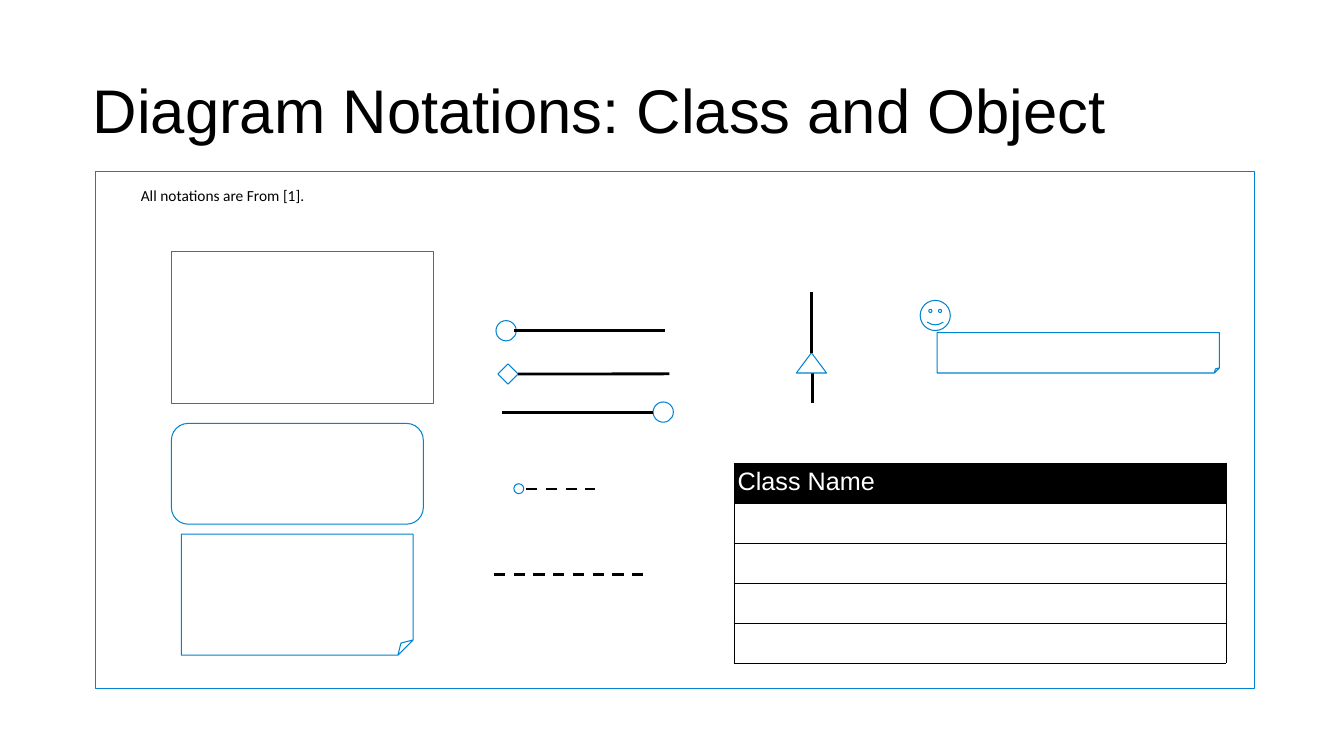
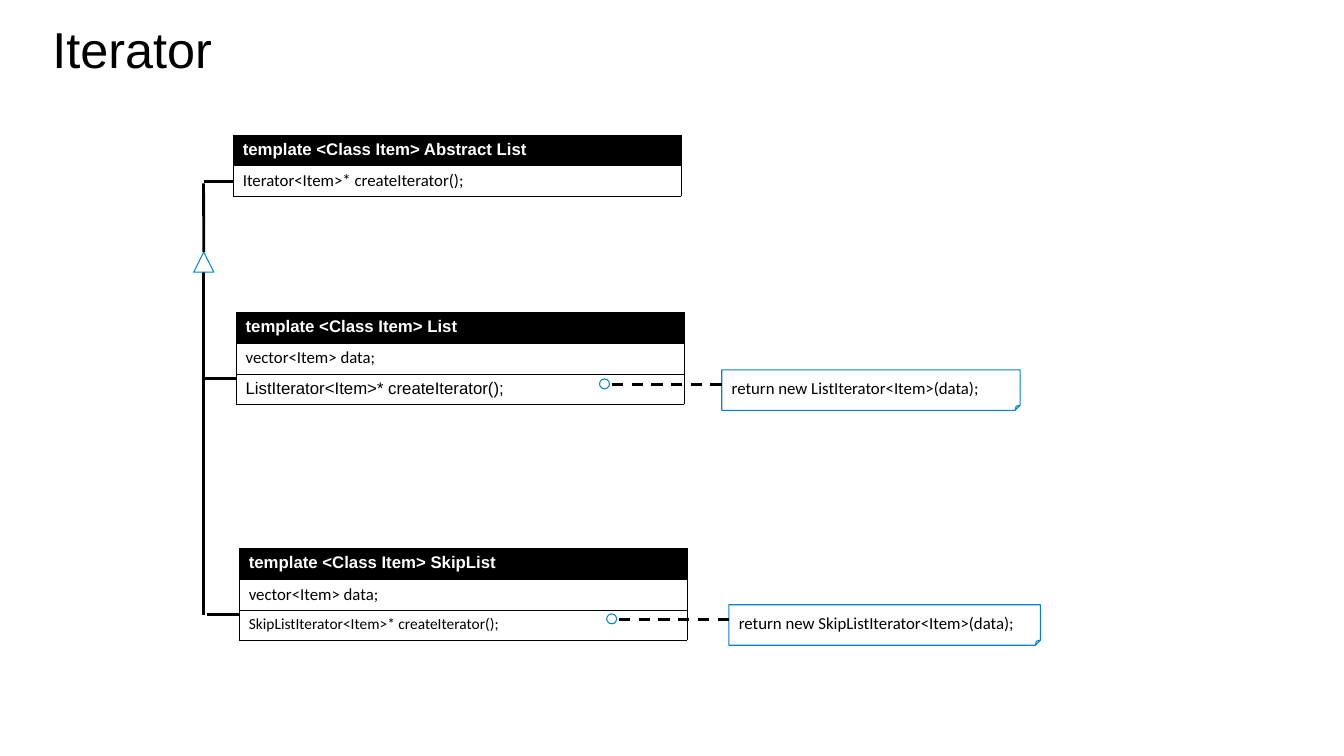
from pptx import Presentation
from pptx import util as u
from pptx.dml.color import RGBColor
from pptx.enum import dml, shapes, text
from pptx.oxml import parse_xml
from pptx.oxml.ns import nsdecls, qn

BLUE = RGBColor(0x00, 0x84, 0xD1)
BLACK = RGBColor(0, 0, 0)
WHITE = RGBColor(255, 255, 255)
KIND = shapes.MSO_SHAPE
RING, DOT, ROW = 0.51, 0.25, 0.77

PARTS = [
    (KIND.RECTANGLE, 2.41, 4.32, 29.21, 13.03),
    (KIND.SMILEY_FACE, 23.19, 7.57, 0.76, 0.76),
    (KIND.RECTANGLE, 4.32, 6.35, 6.6, 3.81),
    (KIND.FOLDED_CORNER, 4.57, 13.46, 5.84, 3.05),
    (KIND.ROUNDED_RECTANGLE, 4.32, 10.67, 6.35, 2.54),
    (KIND.OVAL, 12.5, 8.08, RING, RING),
    (KIND.OVAL, 16.46, 10.13, RING, RING),
    (KIND.FOLDED_CORNER, 23.62, 8.38, 7.11, 1.02),
    (KIND.OVAL, 12.95, 12.19, DOT, DOT),
]
LINES = [
    (12.95, 8.33, 16.76, 8.33, False),
    (12.65, 10.39, 16.46, 10.39, False),
    (20.47, 9.4, 20.47, 10.16, False),
    (12.45, 14.48, 16.26, 14.48, True),
    (13.26, 12.32, 14.99, 12.32, True),
]

HEAD = ("Arial", 12, WHITE, True)
BODY = ("Calibri", 12, BLACK, False)
CLASSES = [
    (5.87, 3.4, [("template <Class Item> Abstract List", HEAD),
                 ("Iterator<Item>* createIterator();", BODY)]),
    (5.94, 7.87, [("template <Class Item> List", HEAD),
                  ("vector<Item> data;", BODY),
                  ("ListIterator<Item>* createIterator();",
                   ("Arial", 12, BLACK, False))]),
    (6.02, 13.82, [("template <Class Item> SkipList", HEAD),
                   ("vector<Item> data;", BODY),
                   ("SkipListIterator<Item>* createIterator();",
                    ("Calibri", 11, BLACK, False))]),
]
TREE = [
    (5.13, 4.57, 5.87, 4.57),
    (5.13, 6.86, 5.13, 15.49),
    (5.13, 9.53, 5.94, 9.53),
    (5.21, 15.49, 6.02, 15.49),
]
NOTES = [
    (15.42, 9.7, 7.52, "return new ListIterator<Item>(data);"),
    (15.6, 15.62, 7.85, "return new SkipListIterator<Item>(data);"),
]


def style(para, face, size, color, bold=False):
    para.alignment = text.PP_ALIGN.LEFT
    font = para.font
    font.name, font.size, font.bold = face, u.Pt(size), bold
    font.color.rgb = color


def inset(box, side, end):
    box.margin_left = box.margin_right = u.Cm(side)
    box.margin_top = box.margin_bottom = u.Cm(end)


def start(deck, title, size, *box):
    slide = deck.slides.add_slide(deck.slide_layouts[5])
    head = slide.shapes.title
    head.left, head.top, head.width, head.height = map(u.Cm, box)
    frame = head.text_frame
    frame.text = title
    frame.word_wrap = True
    frame.vertical_anchor = text.MSO_ANCHOR.MIDDLE
    inset(frame, 0, 0)
    para = frame.paragraphs[0]
    para.line_spacing = 0.9
    style(para, "Arial", size, BLACK)
    return slide


def draw(slide, kind, *box):
    shape = slide.shapes.add_shape(kind, *map(u.Cm, box))
    shape.shadow.inherit = False
    shape.fill.background()
    shape.line.color.rgb = BLUE
    shape.line.width = 0
    if kind == KIND.FOLDED_CORNER:
        geom = shape._element.spPr.find(qn("a:prstGeom"))
        geom.find(qn("a:avLst")).append(parse_xml(
            f'<a:gd {nsdecls("a")} name="adj" fmla="val 12500"/>'))
    return shape


def rule(slide, x1, y1, x2, y2, dash=False):
    line = slide.shapes.add_connector(
        shapes.MSO_CONNECTOR.STRAIGHT, *map(u.Cm, (x1, y1, x2, y2)))
    line.line.color.rgb = BLACK
    line.line.width = 0
    if dash:
        line.line.dash_style = dml.MSO_LINE.DASH
    line._element.spPr.append(
        parse_xml(f"<a:effectLst {nsdecls('a')}/>"))
    return line


def grid(slide, x, y, wide, high, rows, side=0.25):
    table = slide.shapes.add_table(
        len(rows), 1, u.Cm(x), u.Cm(y), u.Cm(wide),
        u.Cm(high * len(rows))).table
    table.horz_banding = False
    for i, (words, look) in enumerate(rows):
        table.rows[i].height = u.Cm(high)
        cell = table.cell(i, 0)
        inset(cell, side, 0.13 if words else 0)
        cell.text = words
        style(cell.text_frame.paragraphs[0], *look)
        props = cell._tc.get_or_add_tcPr()
        for edge in ("lnL", "lnR", "lnT", "lnB"):
            props.append(parse_xml(
                f'<a:{edge} {nsdecls("a")} w="762"><a:solidFill>'
                f'<a:srgbClr val="{BLACK}"/></a:solidFill></a:{edge}>'))
        cell.fill.solid()
        cell.fill.fore_color.rgb = WHITE if i else BLACK


def notation(deck):
    slide = start(deck, "Diagram Notations: Class and Object", 44,
                  2.34, 1.02, 29.21, 3.68)
    for part in PARTS:
        draw(slide, *part)
    for line in LINES:
        rule(slide, *line)
    gem = draw(slide, KIND.DIAMOND, 12.55, 9.17, RING, RING)
    rule(slide, 13.06, 9.42, 16.87, 9.42).begin_connect(gem, 3)
    peak = draw(slide, KIND.ISOSCELES_TRIANGLE, 20.07, 8.89, 0.76, RING)
    rule(slide, 20.45, 7.37, 20.45, 8.89).end_connect(peak, 0)
    grid(slide, 18.49, 11.66, 12.4, 1.01,
         [("Class Name", ("Arial", 18, WHITE))] + [("", BODY)] * 4, 0.1)
    box = slide.shapes.add_textbox(*map(u.Cm, (3.3, 4.57, 5.59, 0.74)))
    frame = box.text_frame
    frame.word_wrap = True
    frame.text = "All notations are From [1]."
    style(frame.paragraphs[0], "Calibri", 11, BLACK)


def iterator(deck):
    slide = start(deck, "Iterator", 36, 1.32, 0.61, 4.52, 1.42)
    for x, y, rows in CLASSES:
        grid(slide, x, y, 11.3, ROW, rows)
    for line in TREE:
        rule(slide, *line)
    peak = draw(slide, KIND.ISOSCELES_TRIANGLE, 4.88, 6.35, RING, RING)
    rule(slide, 5.13, 4.62, 5.13, 6.35).end_connect(peak, 0)
    for x, y, wide, words in NOTES:
        end = x + 2.79
        note = draw(slide, KIND.FOLDED_CORNER, end - 0.02, y - 0.38, wide, 1.02)
        frame = note.text_frame
        frame.text = words
        frame.word_wrap = False
        frame.vertical_anchor = text.MSO_ANCHOR.MIDDLE
        inset(frame, 0.25, 0.13)
        style(frame.paragraphs[0], *BODY)
        draw(slide, KIND.OVAL, x - 0.31, y - 0.15, DOT, DOT)
        rule(slide, x, y, end, y, True)


def main():
    deck = Presentation()
    deck.slide_width, deck.slide_height = u.Cm(33.87), u.Cm(19.05)
    notation(deck)
    iterator(deck)
    deck.save("out.pptx")


if __name__ == "__main__":
    main()
